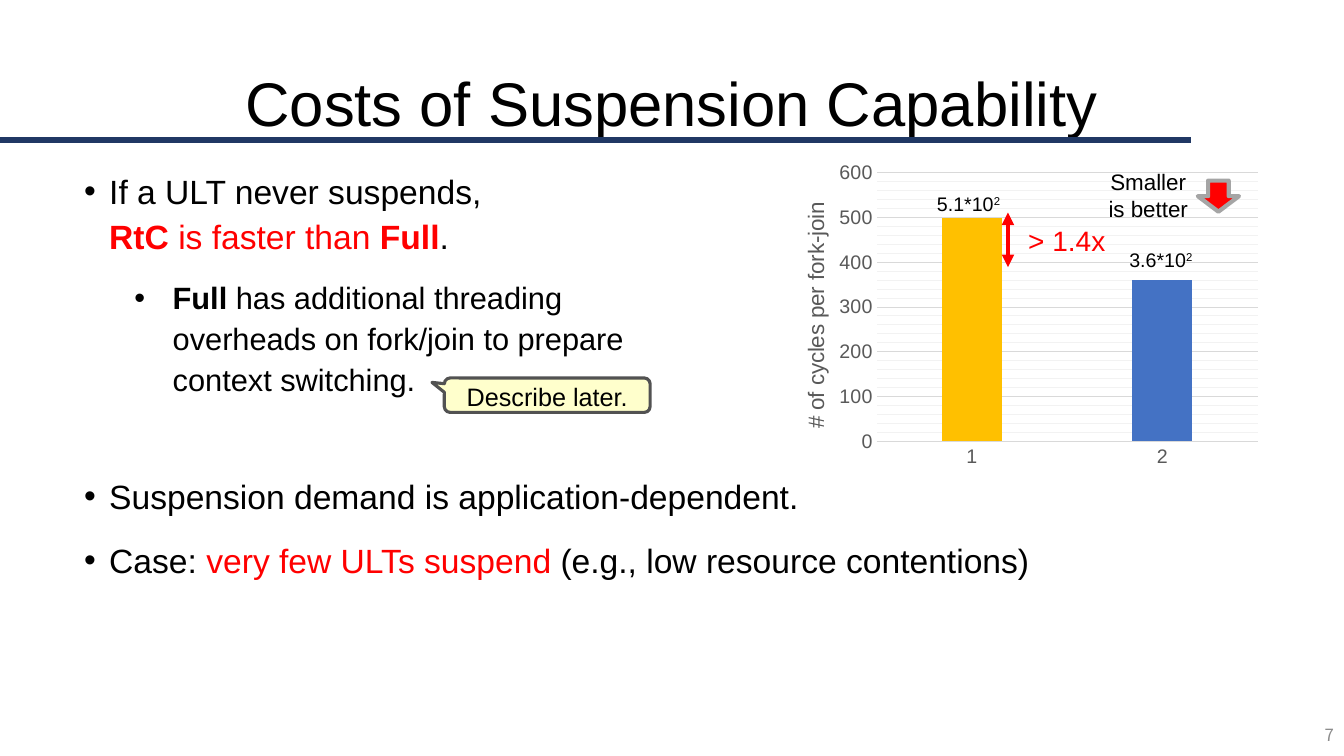
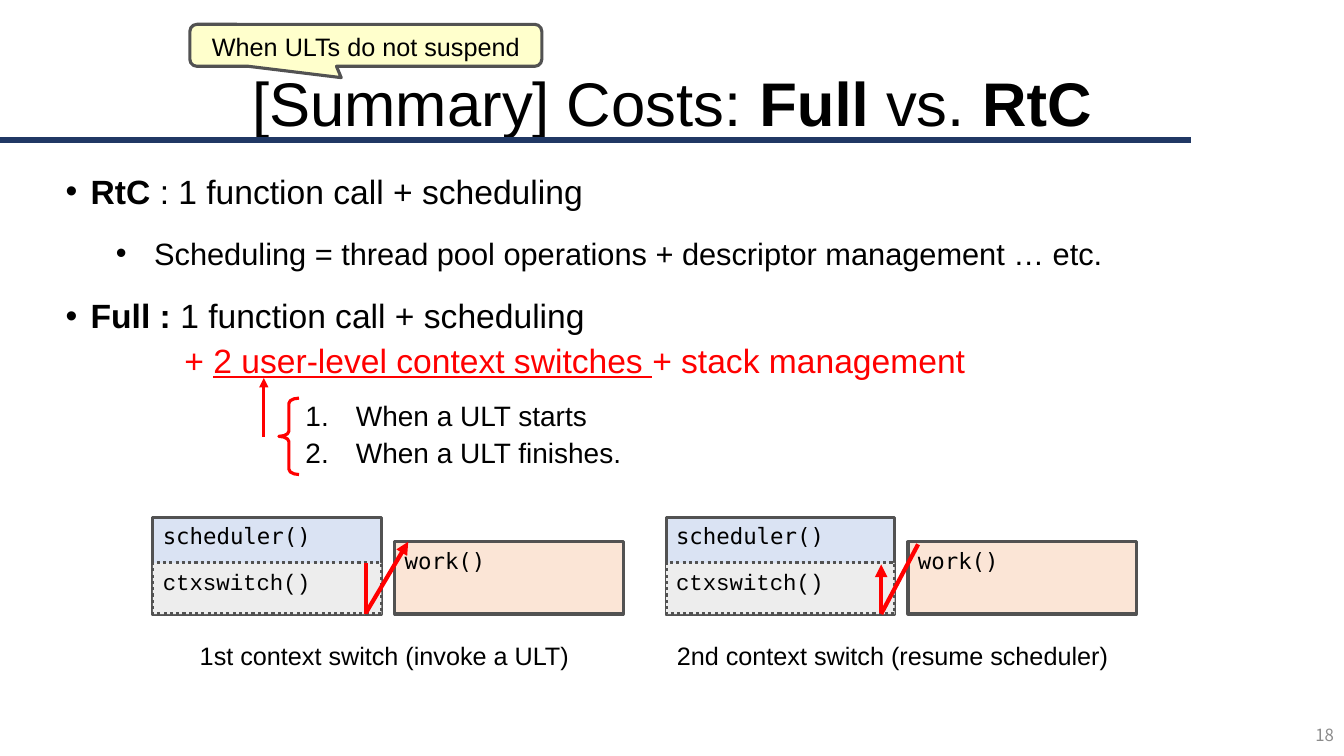
"""Builds two slides comparing the costs of RtC and Full threads on a 160 x 90 grid."""
from copy import deepcopy
from dataclasses import dataclass
from typing import NamedTuple

from lxml import etree
from pptx import Presentation
from pptx import util as u
from pptx.chart.data import CategoryChartData
from pptx.dml.color import RGBColor
from pptx.enum import chart as ch, dml, shapes, text
from pptx.oxml import parse_xml
from pptx.oxml.ns import qn

COLORS = {
    "band": "203864", "text": "000000", "red": "FF0000", "page": "8C8C8C",
    "outline": "525252", "note": "FFFFCC", "scheduler": "DAE3F3",
    "switch": "EDEDED", "work": "FBE5D6", "gray": "A5A5A5", "axis": "595959",
    "grid": "D9D9D9", "minor": "F2F2F2", "full": "FFC000", "rtc": "4472C4",
}
FONT, MONO, CODE, PAGE_FONT = "Arial", "DejaVu Sans Mono", "Courier New", "Noto Sans CJK JP"
COLS, ROWS = 160, 90
WIDTH, HEIGHT = u.Inches(13.333), u.Inches(7.5)
CENTER, LEFT, RIGHT = text.PP_ALIGN.CENTER, text.PP_ALIGN.LEFT, text.PP_ALIGN.RIGHT
CHART_NS = "http://schemas.openxmlformats.org/drawingml/2006/chart"


class Box(NamedTuple):
    col: float
    row: float
    cols: float
    rows: float


class Stroke(NamedTuple):
    start: tuple[float, float]
    end: tuple[float, float]
    arrow: bool = False


class Run(NamedTuple):
    text: str
    bold: bool = False
    color: str = "text"
    underline: bool = False
    raised: bool = False


@dataclass
class Para:
    runs: list[Run]
    size: float = 24
    level: int = 0
    left: float = 0.25
    hang: float = 0.25
    bullet: str = "•"
    before: float = 14
    spacing: float = 1.1


@dataclass
class Switch:
    col: float
    caption: str
    caption_col: float
    strokes: list[Stroke]


def x(cols: float) -> int:
    return round(WIDTH * cols / COLS)


def y(rows: float) -> int:
    return round(HEIGHT * rows / ROWS)


def emu(box: Box) -> tuple[int, int, int, int]:
    return x(box.col), y(box.row), x(box.cols), y(box.rows)


def rgb(name: str) -> RGBColor:
    return RGBColor.from_string(COLORS[name])


def set_font(font, *, size: float, color: str = "text", name: str = FONT) -> None:
    font.size, font.name = u.Pt(size), name
    font.color.rgb = rgb(color)


def set_line(line, color: str, width: float) -> None:
    line.color.rgb = rgb(color)
    line.width = u.Pt(width)


def add_run(p, run: Run, *, size: float, font: str = FONT) -> None:
    for i, part in enumerate(run.text.split("\n")):
        if i:
            p.add_line_break()
            p._p[-1].append(deepcopy(r._r.rPr))
        r = p.add_run()
        r.text = part
        set_font(r.font, size=size, color=run.color, name=font)
        r.font.bold, r.font.underline = run.bold, run.underline
        if run.raised:
            r._r.rPr.set("baseline", "30000")
        if not part:
            p._p.remove(r._r)


def write(sp, *runs: Run, size: float = 18, font: str = FONT, align=CENTER,
          anchor=text.MSO_ANCHOR.TOP, wrap: bool = True) -> None:
    tf = sp.text_frame
    tf.word_wrap, tf.vertical_anchor = wrap, anchor
    tf.auto_size = text.MSO_AUTO_SIZE.NONE
    p = tf.paragraphs[0]
    p.alignment = align
    for run in runs:
        add_run(p, run, size=size, font=font)


def add_label(s, box: Box, *runs: Run, **fmt) -> None:
    write(s.shapes.add_textbox(*emu(box)), *runs, **fmt)


def add_stroke(s, stroke: Stroke, *, color: str = "red", width: float = 3,
               both: bool = False) -> None:
    (x1, y1), (x2, y2) = stroke.start, stroke.end
    sp = s.shapes.add_connector(shapes.MSO_CONNECTOR.STRAIGHT, x(x1), y(y1), x(x2), y(y2))
    set_line(sp.line, color, width)
    ln = sp.line._get_or_add_ln()
    for tag, shown in (("a:headEnd", both), ("a:tailEnd", stroke.arrow or both)):
        if shown:
            etree.SubElement(ln, qn(tag), type="triangle")
    etree.SubElement(sp._element.spPr, qn("a:effectLst"))


def add_shape(s, kind, box: Box, *, fill: str | None = None, line: str = "outline",
              width: float = 2.25, adj: tuple[float, ...] = ()):
    sp = s.shapes.add_shape(kind, *emu(box))
    sp.shadow.inherit = False
    if fill:
        sp.fill.solid()
        sp.fill.fore_color.rgb = rgb(fill)
    else:
        sp.fill.background()
    set_line(sp.line, line, width)
    for i, value in enumerate(adj):
        sp.adjustments[i] = value
    return sp


def add_callout(s, box: Box, label: str, tip: tuple[float, float]) -> None:
    sp = add_shape(s, shapes.MSO_SHAPE.ROUNDED_RECTANGULAR_CALLOUT, box,
                   fill="note", adj=(*tip, 0.17))
    write(sp, Run(label), anchor=text.MSO_ANCHOR.MIDDLE)
    sp.text_frame.paragraphs[0].line_spacing = 1.1


def add_list(sp, paras: list[Para]) -> None:
    tf = sp.text_frame
    tf.word_wrap, tf.auto_size = True, text.MSO_AUTO_SIZE.NONE
    for i, para in enumerate(paras):
        p = tf.add_paragraph() if i else tf.paragraphs[0]
        p.level, p.line_spacing = para.level, para.spacing
        p.space_before, p.space_after = u.Pt(para.before if i else 0), u.Pt(0)
        p.alignment = LEFT
        ppr = p._p.get_or_add_pPr()
        ppr.set("marL", str(u.Inches(para.left)))
        ppr.set("indent", str(-u.Inches(para.hang)))
        if para.bullet:
            etree.SubElement(ppr, qn("a:buFont"), typeface=FONT)
        if para.bullet == "1.":
            etree.SubElement(ppr, qn("a:buAutoNum"), type="arabicPeriod")
        elif para.bullet:
            etree.SubElement(ppr, qn("a:buChar"), char=para.bullet)
        else:
            etree.SubElement(ppr, qn("a:buNone"))
        for run in para.runs:
            add_run(p, run, size=para.size)


def add_slide(prs, title: list[Run], body: Box, paras: list[Para], page: int):
    s = prs.slides.add_slide(prs.slide_layouts[1])
    add_stroke(s, Stroke((0, 16.7), (141.8, 16.7)), color="band", width=4)
    for sp, box in zip(s.placeholders, (Box(0, 6.2, COLS, 11.9), body)):
        sp.left, sp.top, sp.width, sp.height = emu(box)
    write(s.shapes.title, *title, size=44, anchor=text.MSO_ANCHOR.MIDDLE)
    add_list(s.placeholders[1], paras)
    add_label(s, Box(124, 85.1, 36, 4.8), Run(str(page), color="page"), size=12,
              font=PAGE_FONT, align=RIGHT, anchor=text.MSO_ANCHOR.MIDDLE)
    return s


def manual_layout(target: str, **shares: float):
    inner = f'<c:layoutTarget val="{target}"/>' if target else ""
    modes = "".join(f'<c:{k}Mode val="edge"/>' for k in ("x", "y"))
    values = "".join(f'<c:{k} val="{v}"/>' for k, v in shares.items())
    return parse_xml(f'<c:layout xmlns:c="{CHART_NS}"><c:manualLayout>'
                     f'{inner}{modes}{values}</c:manualLayout></c:layout>')


def add_cycles_chart(s, box: Box) -> None:
    data = CategoryChartData()
    data.categories = ["1", "2"]
    data.add_series("Series 1", (500, 360))
    chart = s.shapes.add_chart(ch.XL_CHART_TYPE.COLUMN_CLUSTERED, *emu(box), data).chart
    chart.has_legend = chart.has_title = False
    set_font(chart.font, size=10, name=PAGE_FONT)
    plot = chart.plots[0]
    plot.gap_width, plot.overlap, plot.vary_by_categories = 219, -27, False
    for i, color in enumerate(("full", "rtc")):
        fill = plot.series[0].points[i].format.fill
        fill.solid()
        fill.fore_color.rgb = rgb(color)
    cat, val = chart.category_axis, chart.value_axis
    for axis in (cat, val):
        axis.major_tick_mark = axis.minor_tick_mark = ch.XL_TICK_MARK.NONE
        set_font(axis.tick_labels.font, size=14, color="axis")
    set_line(cat.format.line, "grid", 0.75)
    val.format.line.fill.background()
    val.minimum_scale, val.maximum_scale = 0, 600
    val.major_unit, val.minor_unit = 100, 20
    val.has_major_gridlines = val.has_minor_gridlines = True
    major = val.major_gridlines.format.line
    set_line(major, "minor", 0.75)
    minor_grid = val._element.find(qn("c:minorGridlines"))
    minor_grid.append(deepcopy(val._element.find(qn("c:majorGridlines"))[0]))
    set_line(major, "grid", 0.75)
    title = val.axis_title
    add_run(title.text_frame.paragraphs[0],
            Run("# of cycles per fork-join", color="axis"), size=16)
    title.text_frame._txBody.bodyPr.set("rot", "-5400000")
    title._element.find(qn("c:tx")).addnext(manual_layout("", x=0.05, y=0.13))
    for old in title._element.findall(qn("c:layout"))[1:]:
        title._element.remove(old)
    area = chart._chartSpace.chart.plotArea
    for old in area.findall(qn("c:layout")):
        area.remove(old)
    area.insert(0, manual_layout("inner", x=0.21, y=0.05, w=0.77, h=0.85))


def add_switch(s, switch: Switch) -> None:
    top = 61.6
    frames = (
        ("scheduler()", Box(0, 0, 27.2, 11.5), "scheduler", MONO),
        ("ctxswitch()", Box(0, 5.4, 27.2, 6.1), "switch", CODE),
        ("work()", Box(28.8, 2.9, 27.2, 8.6), "work", MONO),
    )
    for name, box, fill, font in frames:
        place = box._replace(col=switch.col + box.col, row=top + box.row)
        sp = add_shape(s, shapes.MSO_SHAPE.RECTANGLE, place, fill=fill)
        if fill == "switch":
            sp.line.dash_style = dml.MSO_LINE.ROUND_DOT
        write(sp, Run(name), size=16, font=font, align=LEFT)
    for stroke in switch.strokes:
        start, end = ((switch.col + c, top + r) for c, r in (stroke.start, stroke.end))
        add_stroke(s, Stroke(start, end, stroke.arrow))
    add_label(s, Box(switch.caption_col, 75.6, 54, 4.8), Run(switch.caption),
              align=LEFT, wrap=False)


def build_costs(prs) -> None:
    s = add_slide(prs, [Run("Costs of Suspension Capability")], Box(8.8, 19.3, 125.6, 55.2), [
        Para([Run("If a ULT never suspends,\n"), Run("RtC ", True, "red"),
              Run("is faster than ", color="red"), Run("Full", True, "red"), Run(".")]),
        Para([Run("Full ", True), Run("has additional threading\noverheads on fork/join "
              "to prepare\ncontext switching.")], size=22, level=1, left=0.88, hang=0.38),
        Para([Run("Suspension demand is application-dependent.")], before=53),
        Para([Run("Case: "), Run("very few ULTs suspend", color="red"),
              Run(" (e.g., low resource contentions)")]),
    ], 7)
    add_callout(s, Box(52.9, 45, 24.5, 4.1), "Describe later.", (-0.56, -0.37))
    add_cycles_chart(s, Box(92, 18.7, 58.9, 37.6))
    for col, row, value in ((103.6, 22.2, "5.1*10"), (126.5, 28.9, "3.6*10")):
        add_label(s, Box(col, row, 23.4, 4.1), Run(value), Run("2", raised=True), size=14)
    add_stroke(s, Stroke((120, 25.3), (120, 31.8)), both=True)
    add_label(s, Box(115.3, 26, 23.4, 5.3), Run("> 1.4x", color="red"), size=20)
    add_shape(s, shapes.MSO_SHAPE.DOWN_ARROW, Box(142.6, 21.5, 4.9, 3.7),
              fill="red", line="gray", width=3)
    add_label(s, Box(126.5, 19.4, 20.4, 7.7), Run("Smaller\nis better"), size=16)


def build_summary(prs) -> None:
    step = dict(size=20, level=5, left=2.88, hang=0.5, bullet="1.", spacing=0.9)
    title = [Run("[Summary] Costs: "), Run("Full ", True), Run("vs. "), Run("RtC", True)]
    s = add_slide(prs, title, Box(6.6, 19.3, 147.1, 61.8), [
        Para([Run("RtC ", True), Run(": 1 function call + scheduling")]),
        Para([Run("Scheduling = thread pool operations + descriptor management … etc.")],
             size=22, level=1, left=0.88, hang=0.38),
        Para([Run("Full : ", True), Run("1 function call + scheduling")]),
        Para([Run("+ ", color="red"),
              Run("2 user-level context switches ", color="red", underline=True),
              Run("+ stack management", color="red")], left=1.18, hang=0, bullet="", before=0),
        Para([Run("When a ULT starts")], before=16, **step),
        Para([Run("When a ULT finishes.")], before=5, **step),
    ], 18)
    add_callout(s, Box(22.6, 2.9, 41.9, 5), "When ULTs do not suspend", (-0.07, 0.77))
    add_shape(s, shapes.MSO_SHAPE.LEFT_BRACE, Box(33.2, 47.4, 2.4, 9.1), line="red",
              adj=(0.26, 0.5))
    add_stroke(s, Stroke((31.4, 52), (31.4, 45), True), width=2.25)
    for switch in (
        Switch(18.2, "1st context switch (invoke a ULT)", 22.6,
               [Stroke((25.4, 11.3), (30.4, 2.9), True), Stroke((25.4, 5.4), (25.4, 11.5))]),
        Switch(79.3, "2nd context switch (resume scheduler)", 79.4,
               [Stroke((30, 3.2), (25.6, 11.5)), Stroke((25.6, 11.4), (25.6, 5.6), True)]),
    ):
        add_switch(s, switch)


def main() -> None:
    prs = Presentation()
    prs.slide_width, prs.slide_height = WIDTH, HEIGHT
    build_costs(prs)
    build_summary(prs)
    prs.save("out.pptx")


if __name__ == "__main__":
    main()
